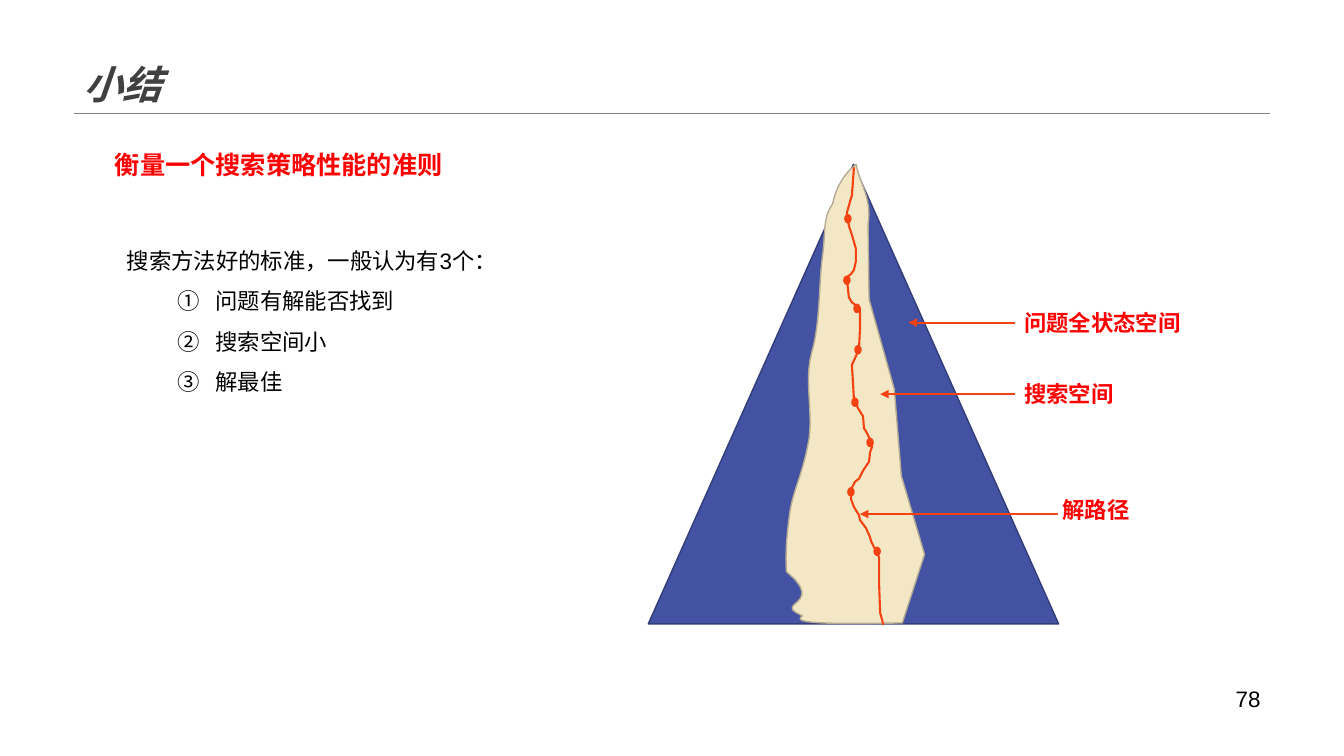
from lxml import etree
from pptx import Presentation, util as u
from pptx.dml.color import RGBColor
from pptx.enum import shapes, text
from pptx.oxml.ns import qn

FONT = "Arial"
COLORS = {
    "title": "404040", "black": "000000", "accent": "FF0000", "rule": "808080",
    "states": "4352A3", "states_edge": "323D79",
    "search": "F3E7C5", "search_edge": "B4AB92", "solution": "F44212",
}
TITLE = "小结"
HEADING = "衡量一个搜索策略性能的准则"
INTRO = "搜索方法好的标准，一般认为有3个："
CRITERIA = ["问题有解能否找到", "搜索空间小", "解最佳"]
PAGE_NUMBER = "78"
CALLOUTS = [
    ("问题全状态空间", 10.06, 3.02, 10.07, 9.01, 3.2),
    ("搜索空间", 10.06, 3.72, 10.07, 8.73, 3.91),
    ("解路径", 10.44, 4.87, 10.49, 8.53, 5.1),
]
SEARCH_START = (7.96, 6.11)
SEARCH_EDGES = [
    (7.64, 5.97, 8.21, 6.01, 7.8, 5.67),
    (7.79, 5.5, 7.8, 5.34, 7.83, 5.11),
    (7.86, 4.88, 7.95, 4.73, 8.01, 4.43),
    (8.08, 4.14, 7.97, 3.79, 8.05, 3.5),
    (8.14, 3.2, 8.12, 2.78, 8.16, 2.53),
    (8.19, 2.29, 8.16, 2.16, 8.26, 2.02),
    (8.28, 1.91, 8.34, 1.75, 8.49, 1.63),
    (8.53, 1.83, 8.65, 1.96, 8.61, 2.23),
    (8.62, 2.97), (8.87, 3.86), (8.94, 4.72), (9.17, 5.5), (8.95, 6.18),
    (8.23, 6.19, 7.83, 6.19, 7.96, 6.11),
]
SOLUTION_POINTS = [
    (8.47, 1.66), (8.46, 1.8), (8.45, 1.94), (8.44, 1.97), (8.4, 2.11),
    (8.42, 2.24), (8.45, 2.33), (8.49, 2.47), (8.49, 2.59), (8.47, 2.68),
    (8.44, 2.72), (8.4, 2.75), (8.41, 2.86), (8.42, 2.95), (8.45, 3),
    (8.53, 3.06), (8.53, 3.26), (8.52, 3.46), (8.51, 3.49), (8.45, 3.62),
    (8.46, 3.79), (8.47, 3.96), (8.49, 4), (8.51, 4.05), (8.56, 4.13),
    (8.57, 4.25), (8.59, 4.28), (8.64, 4.38), (8.65, 4.43), (8.63, 4.49),
    (8.62, 4.58), (8.56, 4.67), (8.52, 4.75), (8.48, 4.78), (8.45, 4.84),
    (8.44, 4.95), (8.47, 5.03), (8.52, 5.11), (8.53, 5.16), (8.59, 5.24),
    (8.63, 5.33), (8.64, 5.37), (8.67, 5.43), (8.72, 5.53), (8.72, 5.8),
    (8.73, 6.08), (8.75, 6.15), (8.76, 6.2),
]
NODE_SIZE = (0.06, 0.08)
NODES = [(8.38, 2.13), (8.37, 2.74), (8.47, 3.02), (8.48, 3.43),
         (8.45, 3.95), (8.6, 4.35), (8.41, 4.84), (8.67, 5.43)]


def rgb(name):
    return RGBColor.from_string(COLORS[name])


def style(shape, fill, edge, width):
    shape.shadow.inherit = False
    if fill:
        shape.fill.solid()
        shape.fill.fore_color.rgb = rgb(fill)
    else:
        shape.fill.background()
    shape.line.color.rgb = rgb(edge)
    shape.line.width = u.Pt(width)


def add_preset(slide, kind, box, fill, edge):
    shape = slide.shapes.add_shape(kind, *map(u.Inches, box))
    style(shape, fill, edge, 1)


def add_outline(slide, points, closed, fill, edge, width):
    start, *rest = [(u.Inches(x), u.Inches(y)) for x, y in points]
    builder = slide.shapes.build_freeform(*start)
    builder.add_line_segments(rest, close=closed)
    style(builder.convert_to_shape(), fill, edge, width)


def add_line(slide, start, end, color, width, arrow=False):
    line = slide.shapes.add_connector(
        shapes.MSO_CONNECTOR.STRAIGHT, *map(u.Inches, start + end))
    line.line.color.rgb = rgb(color)
    line.line.width = u.Pt(width)
    properties = line._element.spPr
    if arrow:
        etree.SubElement(properties.find(qn("a:ln")), qn("a:tailEnd"), type="triangle")
    etree.SubElement(properties, qn("a:effectLst"))


def add_frame(slide, box, anchor=text.MSO_ANCHOR.TOP):
    frame = slide.shapes.add_textbox(*map(u.Inches, box)).text_frame
    frame.word_wrap = True
    frame.vertical_anchor = anchor
    return frame


def write(paragraph, words, size, color, bold=False, italic=False):
    run = paragraph.add_run()
    run.text = words
    font = run.font
    font.name, font.size, font.bold, font.italic = FONT, u.Pt(size), bold, italic
    font.color.rgb = rgb(color)


def flatten(start, edges, steps=12):
    points = [start]
    for edge in edges:
        if len(edge) == 2:
            points.append(edge)
            continue
        controls = [points[-1], edge[:2], edge[2:4], edge[4:]]
        for step in range(1, steps + 1):
            t = step / steps
            weights = ((1 - t) ** 3, 3 * t * (1 - t) ** 2, 3 * t * t * (1 - t), t ** 3)
            points.append(tuple(sum(w * c[axis] for w, c in zip(weights, controls))
                                for axis in (0, 1)))
    return points


def add_wording(slide):
    add_line(slide, (0.73, 1.12), (12.6, 1.12), "rule", 0.25)
    number = add_frame(slide, (9.42, 6.82, 3.18, 0.23), text.MSO_ANCHOR.MIDDLE).paragraphs[0]
    number.alignment = text.PP_ALIGN.RIGHT
    write(number, PAGE_NUMBER, 16, "black")
    title = add_frame(slide, (0.73, 0, 11.87, 1.12), text.MSO_ANCHOR.BOTTOM).paragraphs[0]
    title.line_spacing = 0.9
    write(title, TITLE, 28, "title", bold=True, italic=True)
    heading = add_frame(slide, (1.04, 1.43, 3.95, 0.4)).paragraphs[0]
    write(heading, HEADING, 18, "accent", bold=True)

    body = add_frame(slide, (1.16, 2.27, 4.97, 1.67))
    intro = body.paragraphs[0]
    intro.line_spacing = 1.5
    write(intro, INTRO, 16, "black")
    for criterion in CRITERIA:
        item = body.add_paragraph()
        item.level = 1
        item.line_spacing = 1.5
        properties = item._p.get_or_add_pPr()
        properties.set("marL", str(u.Inches(0.88)))
        properties.set("indent", str(u.Inches(-0.38)))
        etree.SubElement(properties, qn("a:buAutoNum"), type="circleNumDbPlain")
        write(item, criterion, 16, "black")


def add_diagram(slide):
    preset = shapes.MSO_SHAPE
    add_preset(slide, preset.ISOSCELES_TRIANGLE, (6.43, 1.63, 4.07, 4.56),
               "states", "states_edge")
    add_outline(slide, flatten(SEARCH_START, SEARCH_EDGES), True, "search", "search_edge", 1)
    add_outline(slide, SOLUTION_POINTS, False, None, "solution", 1.5)
    for node in NODES:
        add_preset(slide, preset.OVAL, node + NODE_SIZE, "solution", "solution")
    for label, left, top, tail, tip, y in CALLOUTS:
        add_line(slide, (tail, y), (tip, y), "solution", 1.5, arrow=True)
        callout = add_frame(slide, (left, top, 1.97, 0.37)).paragraphs[0]
        write(callout, label, 16, "accent", bold=True)


def main():
    deck = Presentation()
    deck.slide_width, deck.slide_height = u.Inches(13.33), u.Inches(7.5)
    slide = deck.slides.add_slide(deck.slide_layouts[6])
    add_wording(slide)
    add_diagram(slide)
    deck.save("out.pptx")


if __name__ == "__main__":
    main()
